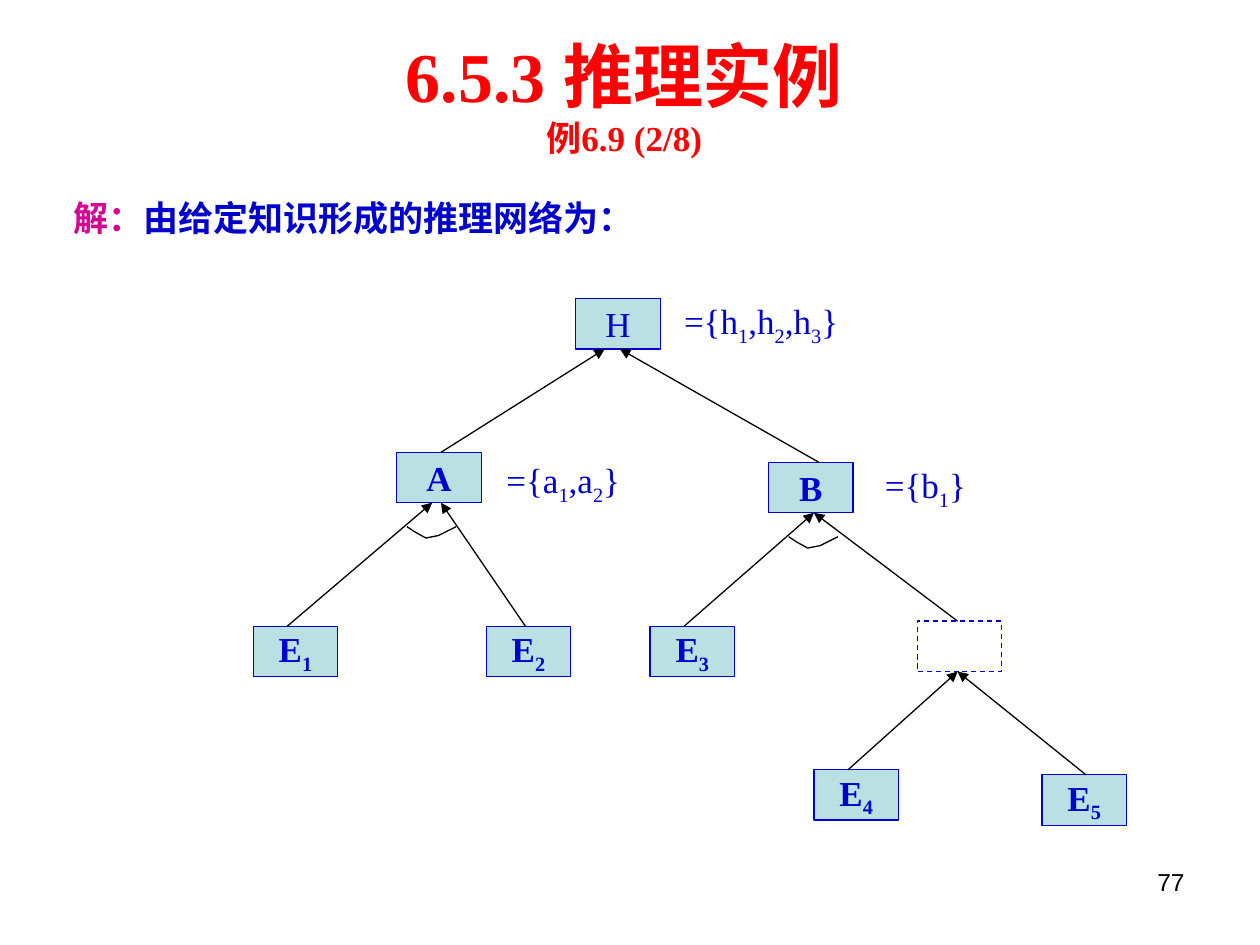
from lxml import etree
from pptx import Presentation
from pptx.dml.color import RGBColor
from pptx.enum import dml, shapes, text
from pptx.oxml.ns import qn
from pptx.util import Inches, Pt

HUES = {"red": "FF0000", "pink": "D60093", "blue": "0000CC",
        "pale": "BBE0E3", "black": "000000"}
WIDE, HIGH = 0.67, 0.4
THIN = Pt(0.74)


def write(para, words, size=20, hue="blue", bold=False, font="Times New Roman"):
    """Add words to a paragraph; each part after "_" opens with a subscript digit."""
    for i, part in enumerate(words.split("_")):
        pieces = [(part, False)] if i == 0 else [(part[0], True), (part[1:], False)]
        for piece, low in pieces:
            if not piece:
                continue
            run = para.add_run()
            run.text = piece
            run.font.size, run.font.bold, run.font.name = Pt(size), bold, font
            run.font.color.rgb = RGBColor.from_string(HUES[hue])
            if low:
                run.font._element.set("baseline", "-25000")


def place(shape, left, top, width, height):
    """Move and size a shape, in inches."""
    shape.left, shape.top = Inches(left), Inches(top)
    shape.width, shape.height = Inches(width), Inches(height)


deck = Presentation()
deck.slide_width, deck.slide_height = Inches(10), Inches(7.5)
slide = deck.slides.add_slide(deck.slide_layouts[1])
items = slide.shapes

# Title and lead sentence
title, body = items.title, slide.placeholders[1]
place(title, 0.98, 0.29, 7.95, 1.02)
title.text_frame.vertical_anchor = text.MSO_ANCHOR.BOTTOM
title.text_frame.auto_size = text.MSO_AUTO_SIZE.NONE
para = title.text_frame.paragraphs[0]
para.alignment = text.PP_ALIGN.CENTER
write(para, "6.5.3 推理实例", size=40, hue="red", bold=True)
para.add_line_break()
write(para, "例6.9 (2/8)", hue="red", bold=True)

place(body, 0.24, 1.51, 9.53, 0.44)
body.text_frame.auto_size = text.MSO_AUTO_SIZE.NONE
para = body.text_frame.paragraphs[0]
para.space_before = Pt(12.5)
props = para._p.get_or_add_pPr()
props.set("marL", str(Inches(0.24)))
props.set("indent", "0")
etree.SubElement(props, qn("a:buNone"))
write(para, "解：", hue="pink", bold=True)
write(para, "由给定知识形成的推理网络为：", bold=True)

# Nodes: name -> left, top, label
nodes = {
    "H": (4.57, 2.37, "H"), "A": (3.15, 3.59, "A"), "B": (6.10, 3.67, "B"),
    "E1": (2.01, 4.97, "E_1"), "E2": (3.86, 4.97, "E_2"),
    "E3": (5.16, 4.97, "E_3"), "and": (7.28, 4.93, ""),
    "E4": (6.46, 6.11, "E_4"), "E5": (8.27, 6.15, "E_5"),
}
for name, (left, top, label) in nodes.items():
    box = items.add_shape(shapes.MSO_SHAPE.RECTANGLE, Inches(left), Inches(top),
                          Inches(WIDE), Inches(HIGH))
    box.shadow.inherit = False
    box.line.color.rgb = RGBColor.from_string(HUES["blue"])
    box.line.width = THIN
    if not label:
        box.fill.background()
        box.line.dash_style = dml.MSO_LINE.DASH
        continue
    box.fill.solid()
    box.fill.fore_color.rgb = RGBColor.from_string(HUES["pale"])
    frame = box.text_frame
    frame.word_wrap = False
    frame.vertical_anchor = text.MSO_ANCHOR.MIDDLE
    frame.paragraphs[0].alignment = text.PP_ALIGN.CENTER
    write(frame.paragraphs[0], label, bold=name != "H")

# Arrows run from the top of a child to the bottom of its parent
edges = [
    ("A", 3.50, "H", 4.80), ("B", 6.50, "H", 4.92),
    ("E1", 2.28, "A", 3.43), ("E2", 4.17, "A", 3.50),
    ("E3", 5.43, "B", 6.46), ("and", 7.60, "B", 6.46),
    ("E4", 6.73, "and", 7.60), ("E5", 8.62, "and", 7.60),
]
for child, x1, parent, x2 in edges:
    arrow = items.add_connector(
        shapes.MSO_CONNECTOR.STRAIGHT, Inches(x1), Inches(nodes[child][1]),
        Inches(x2), Inches(nodes[parent][1] + HIGH))
    arrow.line.color.rgb = RGBColor.from_string(HUES["black"])
    arrow.line.width = THIN
    etree.SubElement(arrow.line._get_or_add_ln(), qn("a:tailEnd"), type="triangle")
    etree.SubElement(arrow._element.spPr, qn("a:effectLst"))

# Value sets beside the nodes
for left, top, width, label in [(5.35, 2.37, 1.38, "={h_1,h_2,h_3}"),
                                (6.93, 3.67, 0.83, "={b_1}"),
                                (3.94, 3.63, 1.06, "={a_1,a_2}")]:
    note = items.add_textbox(Inches(left), Inches(top), Inches(width), Inches(HIGH))
    frame = note.text_frame
    frame.word_wrap = False
    frame.margin_left = frame.margin_right = 0
    frame.vertical_anchor = text.MSO_ANCHOR.MIDDLE
    frame.paragraphs[0].alignment = text.PP_ALIGN.CENTER
    write(frame.paragraphs[0], label)

# Arcs that join the arrows below A and B
bend = [(0.06, 0.04), (0.15, 0.09), (0.25, 0.07), (0.39, 0)]
for left, top in [(3.23, 4.18), (6.26, 4.26)]:
    pen = items.build_freeform(Inches(left), Inches(top))
    pen.add_line_segments([(Inches(left + dx), Inches(top + dy)) for dx, dy in bend],
                          close=False)
    arc = pen.convert_to_shape()
    arc.shadow.inherit = False
    arc.fill.background()
    arc.line.color.rgb = RGBColor.from_string(HUES["black"])
    arc.line.width = THIN

# Page number
page = items.add_textbox(Inches(7.17), Inches(6.83), Inches(2.33), Inches(0.52))
page.text_frame.word_wrap = True
para = page.text_frame.paragraphs[0]
para.alignment = text.PP_ALIGN.RIGHT
write(para, "77", size=14, hue="black", font="Arial")

deck.save("out.pptx")
